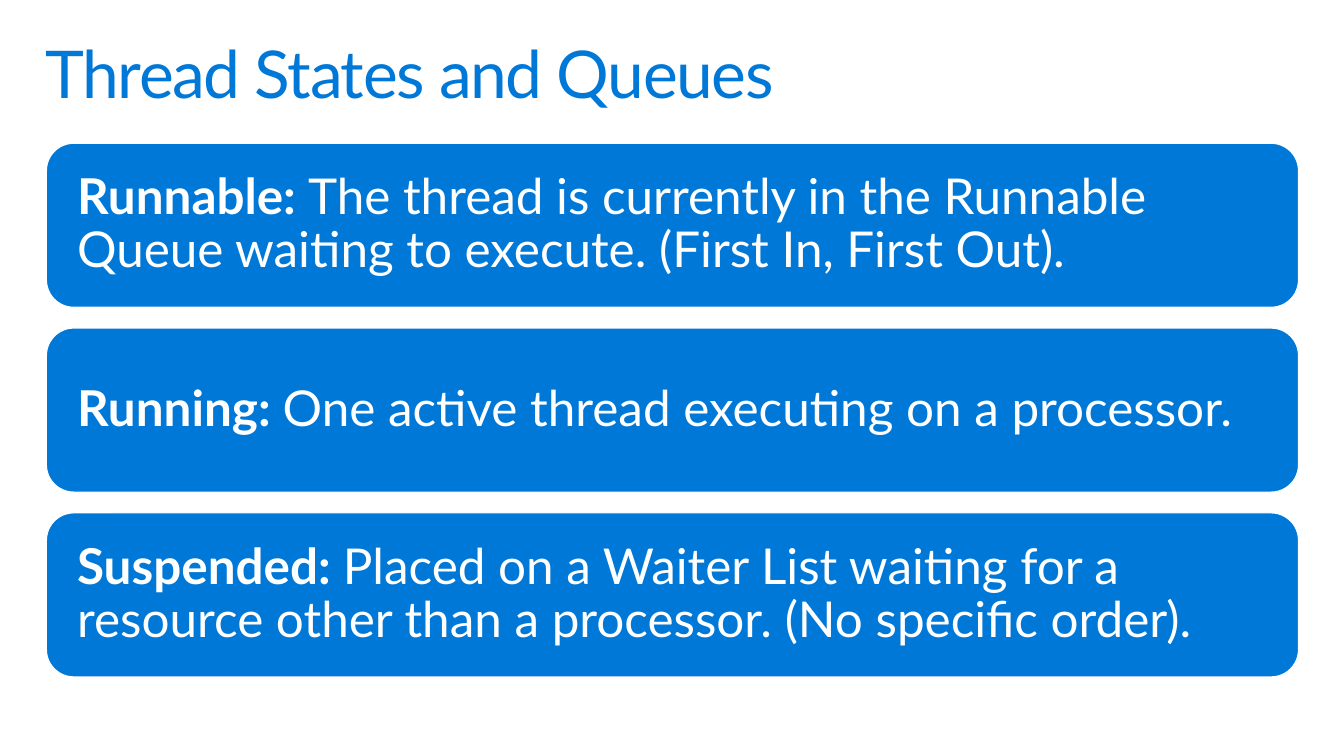
import pptx
import pptx.dml.color
import pptx.enum.shapes
import pptx.enum.text
import pptx.util

Inches = pptx.util.Inches
Pt = pptx.util.Pt
RGBColor = pptx.dml.color.RGBColor
ANCHOR = pptx.enum.text.MSO_ANCHOR
ALIGN = pptx.enum.text.PP_ALIGN

BLUE = RGBColor(0x00, 0x78, 0xD7)
WHITE = RGBColor(0xFF, 0xFF, 0xFF)

TITLE_FONT = {"name": "Lato", "size": Pt(48), "bold": False}
STATE_FONT = {"name": "Lato", "size": Pt(36)}
PARAGRAPH = {"alignment": ALIGN.LEFT, "line_spacing": 0.9, "space_before": Pt(0)}
TITLE_FRAME = {
    "margin_left": Inches(0.16), "margin_right": Inches(0.16),
    "margin_top": Inches(0.1), "margin_bottom": Inches(0.1),
    "vertical_anchor": ANCHOR.TOP, "word_wrap": True,
    "auto_size": pptx.enum.text.MSO_AUTO_SIZE.NONE,
}
STATE_FRAME = {
    **TITLE_FRAME,
    "margin_left": Inches(0.23), "margin_right": Inches(0.23),
    "vertical_anchor": ANCHOR.MIDDLE,
}
TITLE_PLACE = {"left": Inches(0.3), "top": Inches(0.32),
               "width": Inches(13), "height": Inches(1)}

STATES = [
    ("Runnable: ", "The thread is currently in the Runnable Queue waiting "
                   "to execute. (First In, First Out)."),
    ("Running: ", "One active thread executing on a processor."),
    ("Suspended: ", "Placed on a Waiter List waiting for a resource other "
                    "than a processor. (No specific order)."),
]
FIRST_TOP = 1.45
STATE_PITCH = 1.87


def apply(target, values):
    """Set each named attribute on the target."""
    for name, value in values.items():
        setattr(target, name, value)


def add_run(paragraph, text, font, color):
    """Append a formatted run and return it."""
    run = paragraph.add_run()
    run.text = text
    apply(run.font, font)
    run.font.color.rgb = color
    return run


def add_title(slide, text):
    """Place and format the slide title."""
    title = slide.shapes.title
    apply(title, TITLE_PLACE)
    apply(title.text_frame, TITLE_FRAME)
    heading = title.text_frame.paragraphs[0]
    apply(heading, PARAGRAPH)
    run = add_run(heading, text, TITLE_FONT, BLUE)
    run._r.get_or_add_rPr().set("spc", "-100")


def add_state(slide, top, state, description):
    """Draw a rounded panel with a thread state and its description."""
    panel = slide.shapes.add_shape(
        pptx.enum.shapes.MSO_SHAPE.ROUNDED_RECTANGLE,
        Inches(0.47), Inches(top), Inches(12.67), Inches(1.66))
    panel.shadow.inherit = False
    panel.fill.solid()
    panel.fill.fore_color.rgb = BLUE
    panel.line.color.rgb = WHITE
    panel.line.width = Pt(0.85)
    apply(panel.text_frame, STATE_FRAME)
    sentence = panel.text_frame.paragraphs[0]
    apply(sentence, PARAGRAPH)
    for text, bold in ((state, True), (description, False)):
        add_run(sentence, text, {**STATE_FONT, "bold": bold}, WHITE)


def main():
    """Build the thread states slide."""
    deck = pptx.Presentation()
    apply(deck, {"slide_width": Inches(13.6), "slide_height": Inches(7.65)})
    slide = deck.slides.add_slide(deck.slide_layouts[5])
    add_title(slide, "Thread States and Queues")
    for row, (state, description) in enumerate(STATES):
        add_state(slide, FIRST_TOP + row * STATE_PITCH, state, description)
    deck.save("out.pptx")


if __name__ == "__main__":
    main()
